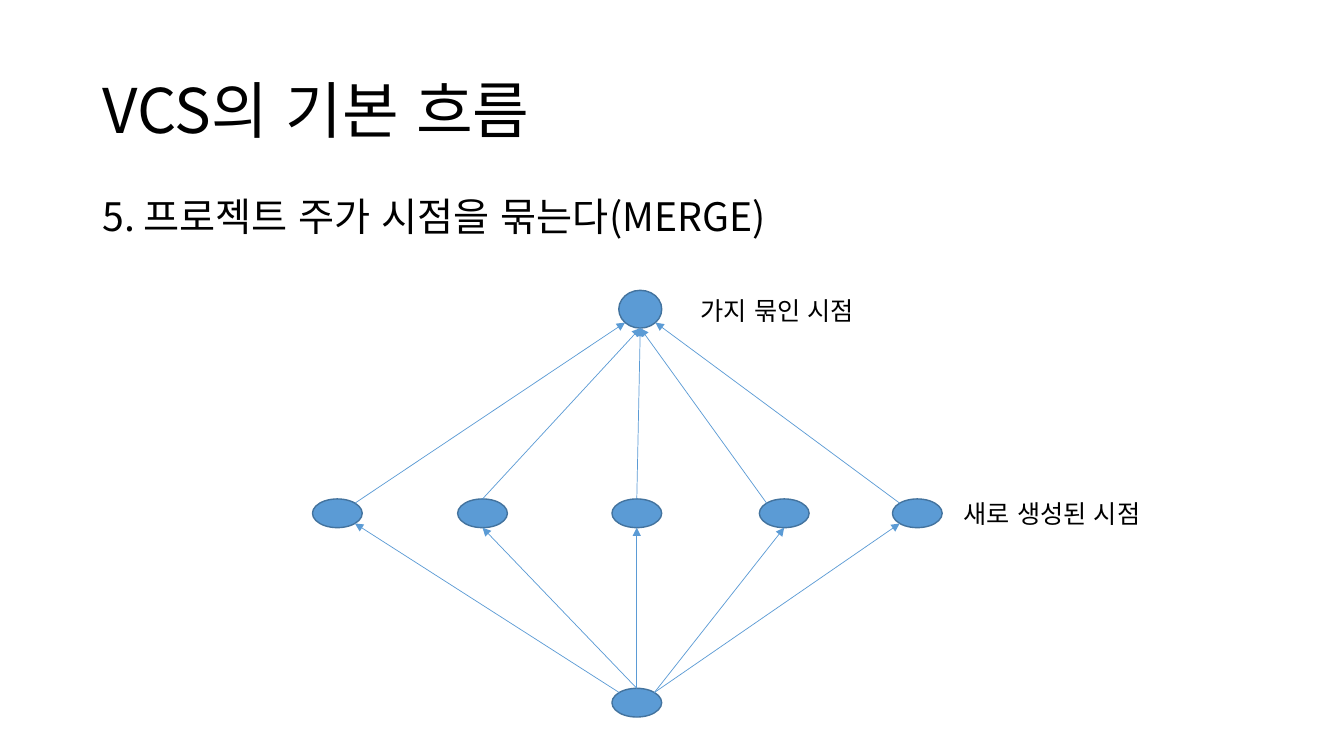
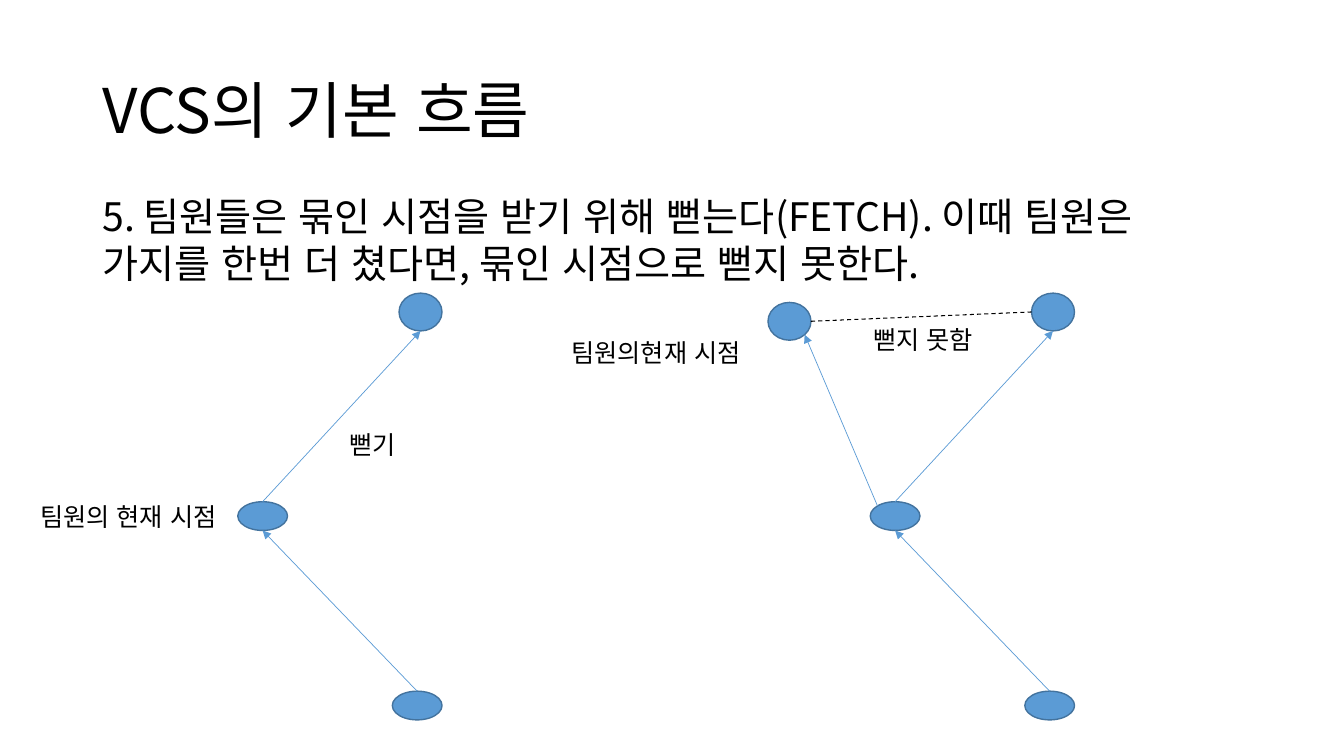
import math
import lxml.etree
import pptx
import pptx.dml.color
import pptx.enum.dml
import pptx.enum.lang
import pptx.enum.shapes
import pptx.enum.text
import pptx.oxml.ns
import pptx.util

WIDE, HIGH = 13.33, 7.5
FONT = "Noto Sans CJK KR"
BLUE = pptx.dml.color.RGBColor(0x5B, 0x9B, 0xD5)
EDGE = pptx.dml.color.RGBColor(0x43, 0x73, 0x9E)
BLACK = pptx.dml.color.RGBColor(0, 0, 0)

# Places and sizes are percentages of the slide's width and height.
LEFT, SPAN = 6.88, 86.25
DOT = (3.7, 3.8)
TIP = (3.2, 5)

# Connection sites of an ellipse, counted anticlockwise from the top
TOP, TOP_LEFT, MID_LEFT, LOW_LEFT, LOW, LOW_RIGHT, MID_RIGHT, TOP_RIGHT = range(8)


def across(share):
    return pptx.util.Inches(WIDE * share / 100)


def down(share):
    return pptx.util.Inches(HIGH * share / 100)


def add_node(parent, tag, **attrs):
    return lxml.etree.SubElement(parent, pptx.oxml.ns.qn(tag), **attrs)


def write(frame, text, size):
    """Put one left-aligned run of text in a frame."""
    para = frame.paragraphs[0]
    para.alignment = pptx.enum.text.PP_ALIGN.LEFT
    para.space_before = pptx.util.Pt(0)
    run = para.add_run()
    run.text = text
    run.font.size = pptx.util.Pt(size)
    run.font.name = FONT
    run.font.language_id = pptx.enum.lang.MSO_LANGUAGE_ID.KOREAN
    run.font.color.rgb = BLACK
    add_node(run.font._element, "a:ea", typeface=FONT)
    return para


def place(holder, top, height):
    holder.left, holder.width = across(LEFT), across(SPAN)
    holder.top, holder.height = down(top), down(height)
    frame = holder.text_frame
    frame.word_wrap = True
    frame.auto_size = pptx.enum.text.MSO_AUTO_SIZE.NONE
    return frame


def add_slide(deck, text, height):
    """Start a slide with the shared title and one paragraph of body text."""
    slide = deck.slides.add_slide(deck.slide_layouts[1])
    frame = place(slide.shapes.title, 5.33, 19.33)
    frame.vertical_anchor = pptx.enum.text.MSO_ANCHOR.MIDDLE
    write(frame, "VCS의 기본 흐름", 44).line_spacing = 0.9

    frame = place(slide.placeholders[1], 24.8, height)
    frame.vertical_anchor = pptx.enum.text.MSO_ANCHOR.TOP
    props = write(frame, text, 28)._p.get_or_add_pPr()
    props.set("marL", "0")
    props.set("indent", "0")
    add_node(props, "a:buNone")
    return slide


def add_point(slide, x, y, size=DOT):
    """Draw a commit as an ellipse centred on x, y."""
    wide, high = size
    point = slide.shapes.add_shape(
        pptx.enum.shapes.MSO_SHAPE.OVAL,
        across(x - wide / 2), down(y - high / 2), across(wide), down(high))
    point.shadow.inherit = False
    point.fill.solid()
    point.fill.fore_color.rgb = BLUE
    point.line.color.rgb = EDGE
    point.line.width = pptx.util.Pt(1)
    return point


def find_site(point, site):
    turn = math.radians(45 * site)
    return (round(point.left + point.width / 2 * (1 - math.sin(turn))),
            round(point.top + point.height / 2 * (1 - math.cos(turn))))


def link(slide, start, leave, end, enter, color=BLUE, width=0.5):
    """Join two points at the given sites with a straight line."""
    line = slide.shapes.add_connector(
        pptx.enum.shapes.MSO_CONNECTOR.STRAIGHT,
        *find_site(start, leave), *find_site(end, enter))
    line.line.color.rgb = color
    line.line.width = pptx.util.Pt(width)
    add_node(line._element.spPr, "a:effectLst")
    # Ellipses have eight sites, so the joints are set in XML.
    joints = line._element.nvCxnSpPr.cNvCxnSpPr
    add_node(joints, "a:stCxn", id=str(start.shape_id), idx=str(leave))
    add_node(joints, "a:endCxn", id=str(end.shape_id), idx=str(enter))
    return line


def add_arrow(slide, start, leave, end, enter):
    line = link(slide, start, leave, end, enter)
    add_node(line.line._get_or_add_ln(), "a:tailEnd", type="triangle")


def add_label(slide, x, y, width, text):
    box = slide.shapes.add_textbox(across(x), down(y), across(width), down(5.4))
    box.text_frame.word_wrap = True
    write(box.text_frame, text, 18)


def add_fork(slide, x):
    """Draw base, middle and tip, with the middle point at x."""
    base = add_point(slide, x + 11.5, 93.33)
    mid = add_point(slide, x, 68.27)
    tip = add_point(slide, x + 11.75, 41.27, TIP)
    add_arrow(slide, base, TOP, mid, LOW)
    add_arrow(slide, mid, TOP, tip, LOW)
    return mid, tip


def draw_merge(deck):
    slide = add_slide(deck, "5. 프로젝트 주가 시점을 묶는다(MERGE)", 7.6)
    base = add_point(slide, 47.38, 92.95)
    tip = add_point(slide, 47.64, 40.9, TIP)
    # Each branch: place, then sites on base, dot (in, out) and tip
    routes = (
        (25.1, TOP_LEFT, LOW_RIGHT, TOP_RIGHT, LOW_LEFT),
        (35.9, TOP, LOW, TOP, LOW),
        (47.38, TOP, LOW, TOP, LOW),
        (58.35, TOP_RIGHT, LOW, TOP_LEFT, LOW),
        (68.25, TOP_RIGHT, LOW_LEFT, TOP_LEFT, LOW_RIGHT),
    )
    for x, leave, enter, rise, join in routes:
        dot = add_point(slide, x, 67.9)
        add_arrow(slide, base, leave, dot, enter)
        add_arrow(slide, dot, rise, tip, join)
    add_label(slide, 51.4, 38.4, 14.25, "가지 묶인 시점")
    add_label(slide, 70.97, 65.2, 16.1, "새로 생성된 시점")


def draw_fetch(deck):
    slide = add_slide(
        deck, "5. 팀원들은 묶인 시점을 받기 위해 뻗는다(FETCH). 이때 팀원은 "
        "가지를 한번 더 쳤다면, 묶인 시점으로 뻗지 못한다.", 13.87)
    # Branch that can reach the merged point
    add_fork(slide, 19.54)
    add_label(slide, 2.25, 65.6, 16.1, "팀원의 현재 시점")
    add_label(slide, 25.28, 56.1, 5.5, "뻗기")

    # Branch that has moved on and cannot reach it
    mid, tip = add_fork(slide, 66.6)
    stray = add_point(slide, 58.74, 42.5, TIP)
    add_arrow(slide, mid, TOP_LEFT, stray, LOW_RIGHT)
    gap = link(slide, stray, MID_RIGHT, tip, MID_LEFT, BLACK, 0.75)
    gap.line.dash_style = pptx.enum.dml.MSO_LINE.DASH
    add_label(slide, 41.78, 44, 15.5, "팀원의현재 시점")
    add_label(slide, 64.22, 42.3, 9.75, "뻗지 못함")


def main():
    deck = pptx.Presentation()
    deck.slide_width, deck.slide_height = across(100), down(100)
    draw_merge(deck)
    draw_fetch(deck)
    deck.save("out.pptx")


if __name__ == "__main__":
    main()
